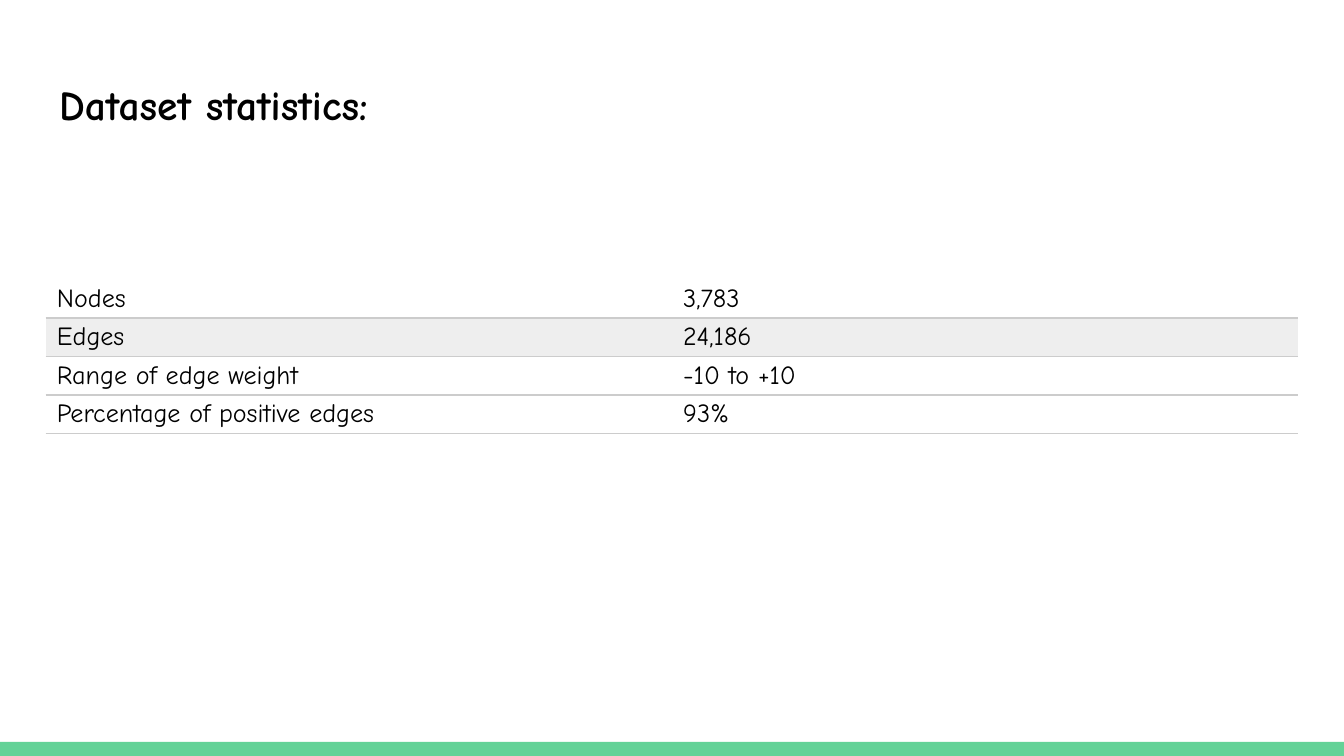
from dataclasses import dataclass

from lxml.etree import SubElement
from pptx import Presentation
from pptx.dml.color import RGBColor
from pptx.enum.shapes import MSO_SHAPE
from pptx.enum.text import MSO_ANCHOR, MSO_AUTO_SIZE, PP_ALIGN
from pptx.oxml.ns import qn
from pptx.util import Inches, Pt


@dataclass(frozen=True)
class Theme:
    """Colours, font and type sizes of the deck."""
    font: str = "Comic Neue"
    ink: str = "000000"
    paper: str = "FFFFFF"
    band: str = "EEEEEE"
    rule: str = "CCCCCC"
    accent: str = "63D297"
    title_size: float = 22.2
    body_size: float = 14
    rule_width: float = 0.75


def write_text(frame, text, *, font, size, color, bold=False):
    """Write one left-aligned paragraph in the given format."""
    paragraph = frame.paragraphs[0]
    paragraph.alignment = PP_ALIGN.LEFT
    run = paragraph.add_run()
    run.text = text
    run.font.name = font
    run.font.size = Pt(size)
    run.font.bold = bold
    run.font.color.rgb = RGBColor.from_string(color)


class SlideBuilder:
    """Holds the theme and the current slide."""

    def __init__(self, deck, theme):
        """Open a title-only slide on the theme's background."""
        self.theme = theme
        self.slide = deck.slides.add_slide(deck.slide_layouts[5])
        background = self.slide.background.fill
        background.solid()
        background.fore_color.rgb = RGBColor.from_string(theme.paper)

    def add_bar(self, left, top, width, height):
        """Add a plain accent bar."""
        bar = self.slide.shapes.add_shape(
            MSO_SHAPE.RECTANGLE, Inches(left), Inches(top), Inches(width), Inches(height))
        bar.shadow.inherit = False
        bar.fill.solid()
        bar.fill.fore_color.rgb = RGBColor.from_string(self.theme.accent)
        bar.line.fill.background()

    def add_title(self, text, left, top, width, height):
        """Place and fill the title placeholder."""
        title = self.slide.shapes.title
        title.left, title.top = Inches(left), Inches(top)
        title.width, title.height = Inches(width), Inches(height)
        frame = title.text_frame
        frame.word_wrap = True
        frame.auto_size = MSO_AUTO_SIZE.NONE
        frame.vertical_anchor = MSO_ANCHOR.TOP
        frame.margin_left = frame.margin_right = Inches(0.1)
        frame.margin_top = frame.margin_bottom = Inches(0.1)
        write_text(frame, text, font=self.theme.font, size=self.theme.title_size,
                   color=self.theme.ink, bold=True)

    def add_statistics(self, statistics, left, top, width, row_height, shaded_row):
        """Add a table with rules between rows and one shaded row."""
        table = self.slide.shapes.add_table(
            len(statistics), len(statistics[0]), Inches(left), Inches(top),
            Inches(width), Inches(row_height * len(statistics))).table
        table.first_row = table.horz_banding = False
        for row_index, statistic in enumerate(statistics):
            shade = self.theme.band if row_index == shaded_row else self.theme.paper
            for column_index, text in enumerate(statistic):
                cell = table.cell(row_index, column_index)
                cell.margin_left = cell.margin_right = Inches(1 / 12)
                cell.margin_top = cell.margin_bottom = Inches(1 / 32)
                cell.vertical_anchor = MSO_ANCHOR.MIDDLE
                self.rule_cell(cell, ruled_above=row_index > 0)
                cell.fill.solid()
                cell.fill.fore_color.rgb = RGBColor.from_string(shade)
                write_text(cell.text_frame, text, font=self.theme.font,
                           size=self.theme.body_size, color=self.theme.ink)

    def rule_cell(self, cell, ruled_above):
        """Draw the horizontal rules of a cell and clear its other borders."""
        properties = cell._tc.get_or_add_tcPr()
        borders = {"a:lnL": False, "a:lnR": False, "a:lnT": ruled_above, "a:lnB": True}
        for side, ruled in borders.items():
            border = SubElement(properties, qn(side), w=str(Pt(self.theme.rule_width)))
            if ruled:
                fill = SubElement(border, qn("a:solidFill"))
                SubElement(fill, qn("a:srgbClr"), val=self.theme.rule)
            else:
                SubElement(border, qn("a:noFill"))


def main():
    """Build the dataset statistics slide."""
    deck = Presentation()
    deck.slide_width, deck.slide_height = Inches(10), Inches(10 * 9 / 16)
    builder = SlideBuilder(deck, Theme())
    builder.add_bar(0, 5.52, 10, 0.11)
    builder.add_title("Dataset statistics:", 0.34, 0.49, 9.32, 0.63)
    statistics = [
        ("Nodes", "3,783"),
        ("Edges", "24,186"),
        ("Range of edge weight", "-10 to +10"),
        ("Percentage of positive edges", "93%"),
    ]
    builder.add_statistics(statistics, left=0.34, top=2.08, width=9.32,
                           row_height=0.28, shaded_row=1)
    deck.save("out.pptx")


if __name__ == "__main__":
    main()
